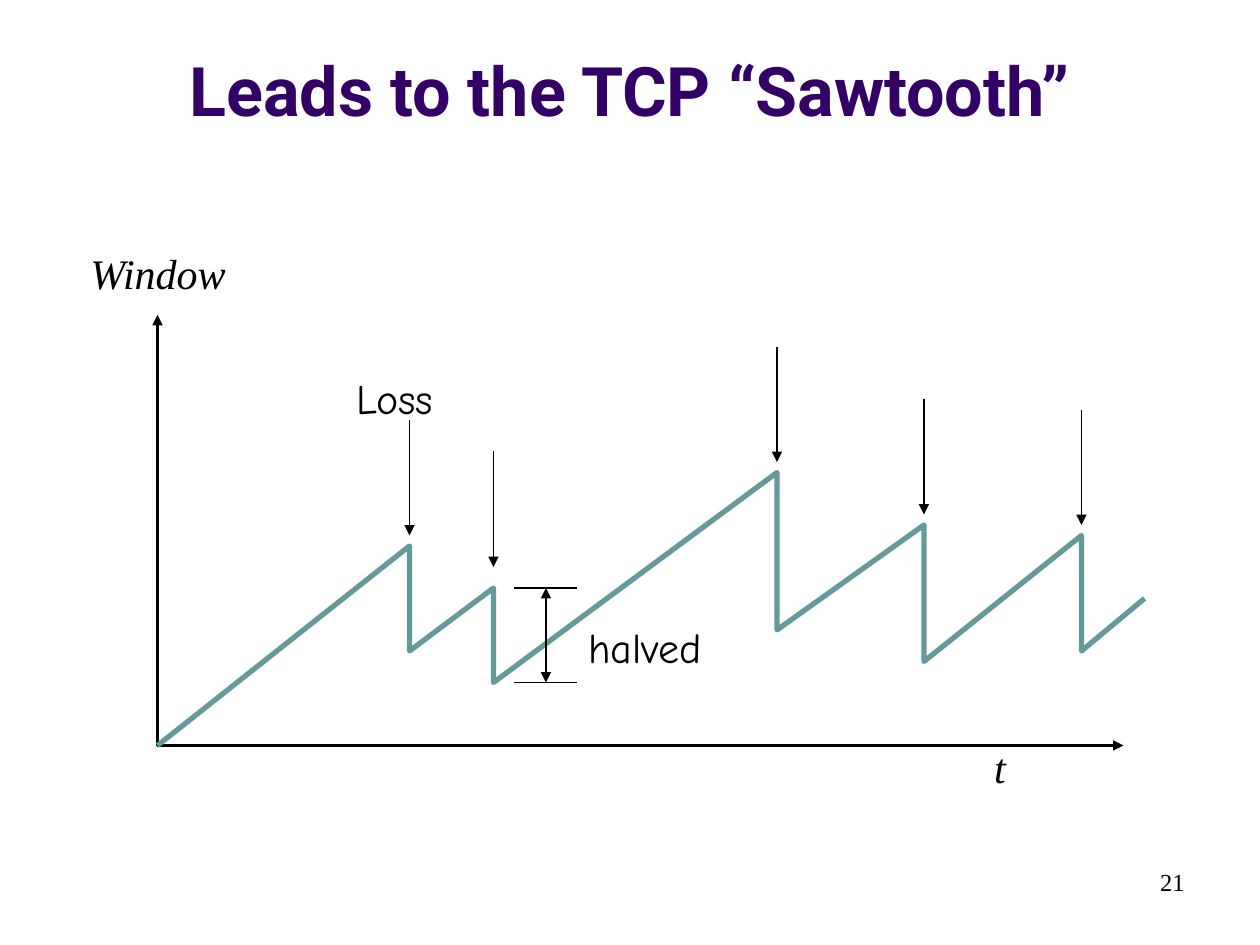
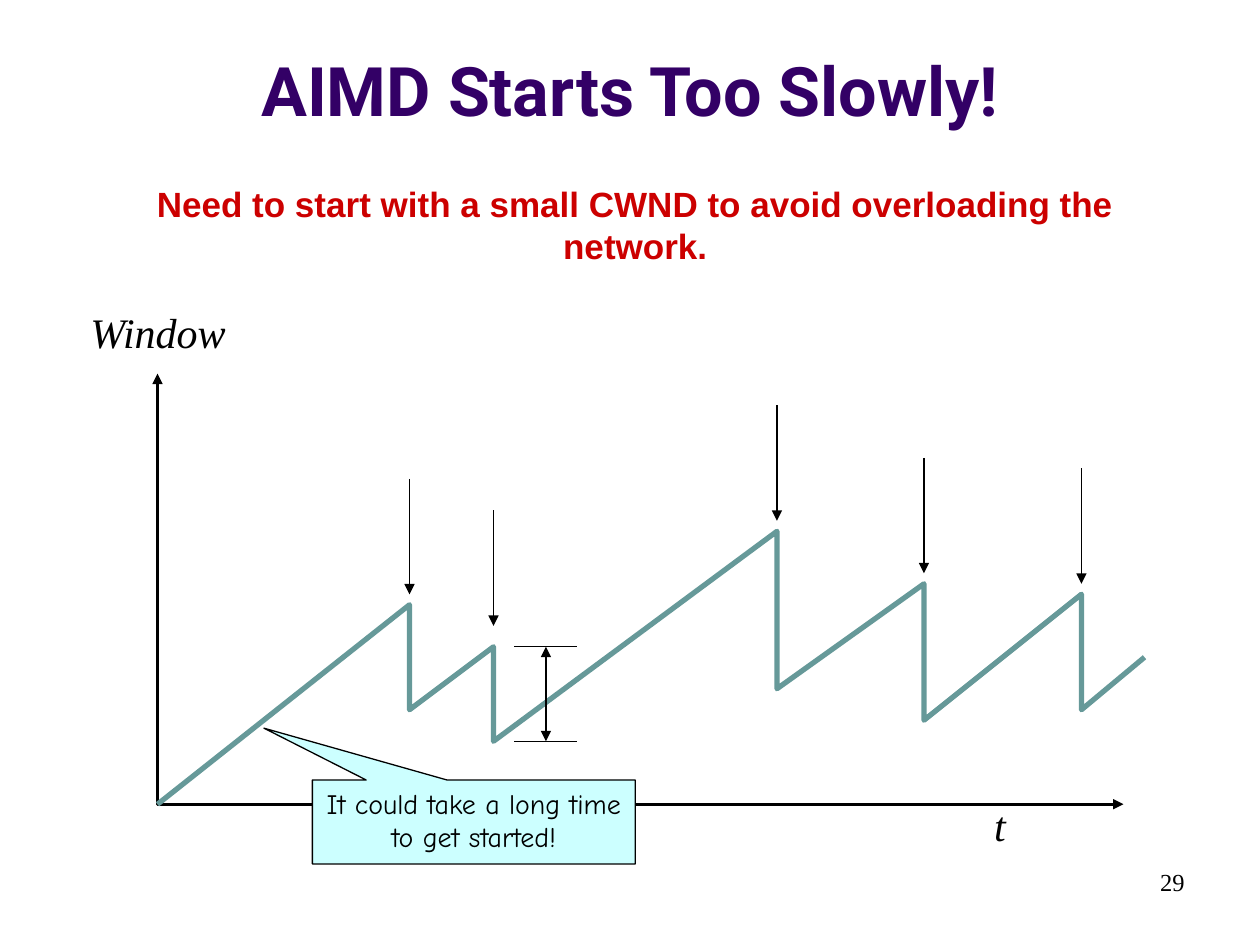
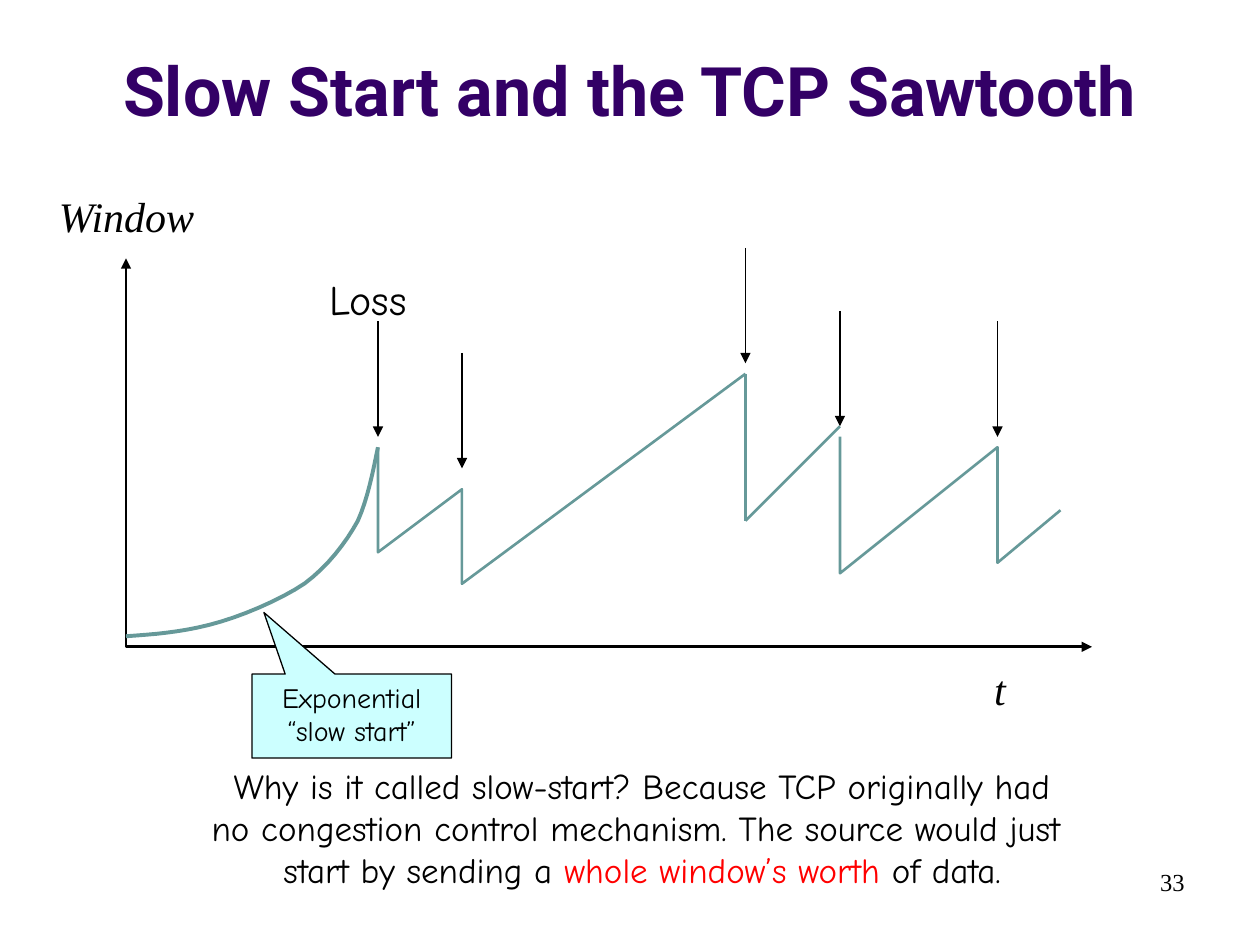
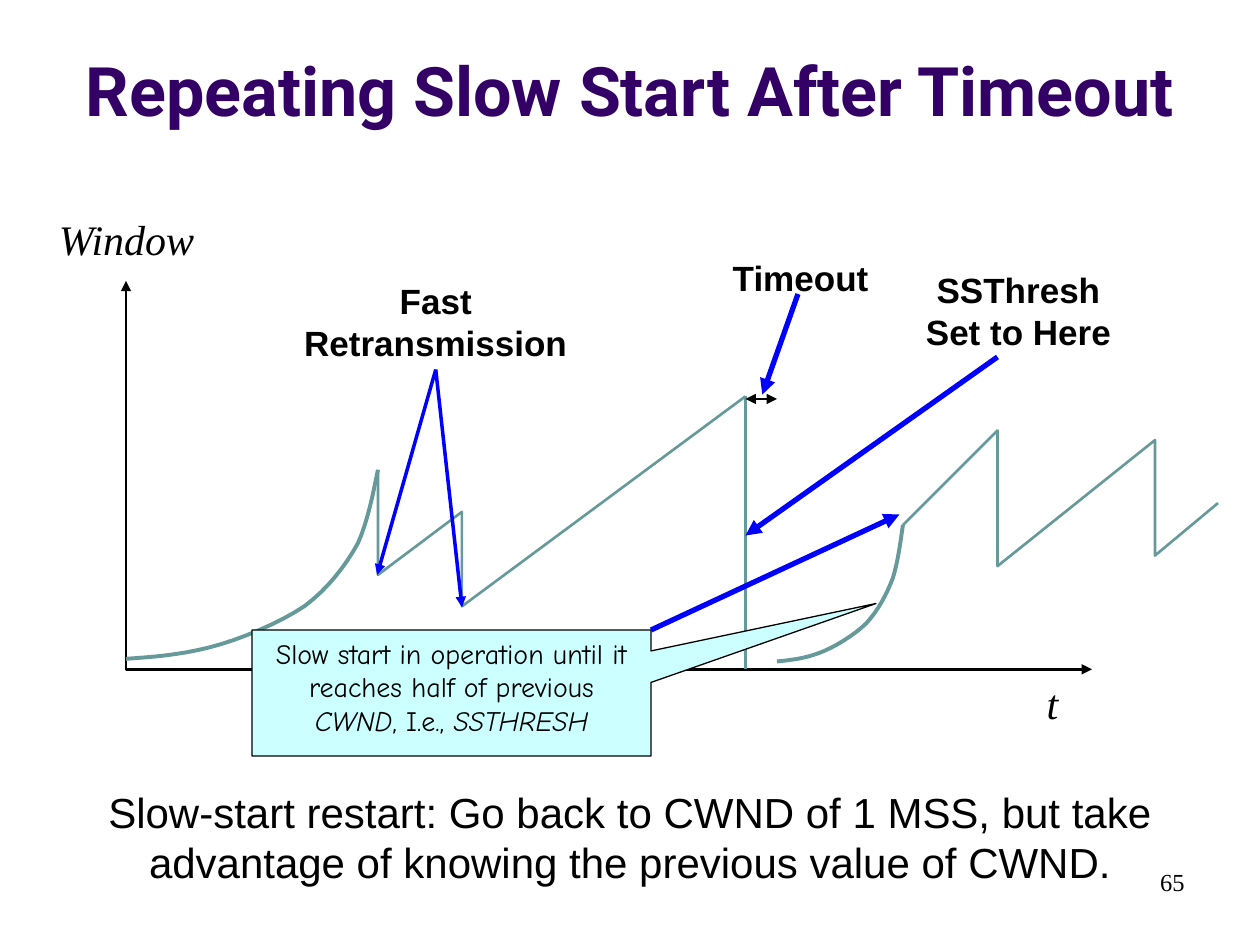
from lxml import etree
from pptx import Presentation
from pptx.dml.color import RGBColor
from pptx.enum.shapes import MSO_CONNECTOR, MSO_SHAPE
from pptx.enum.text import MSO_ANCHOR, MSO_AUTO_SIZE, PP_ALIGN
from pptx.oxml.ns import qn
from pptx.util import Pt

BLACK = RGBColor(0x00, 0x00, 0x00)
PURPLE = RGBColor(0x33, 0x00, 0x66)
TEAL = RGBColor(0x66, 0x99, 0x99)
CYAN = RGBColor(0xCC, 0xFF, 0xFF)
BLUE = RGBColor(0x00, 0x00, 0xFF)
RED = RGBColor(0xFF, 0x00, 0x00)
DARK_RED = RGBColor(0xCC, 0x00, 0x00)

SANS, SERIF, COMIC, HEADING = "Arial", "Times New Roman", "Comic Neue", "Roboto"
TITLE_ONLY = 5
BOTTOM_SIDE = 2
AXIS_WIDTH = 552
LOSS_ARROW = 66

# Window sizes are offsets (right, up) from the origin of the axes.
FIRST_TEETH = [(144, 114), (144, 54), (192, 90), (192, 36), (354, 156)]
LONG_TEETH = [(0, 0), *FIRST_TEETH, (354, 66), (438, 126), (438, 48),
              (528, 120), (528, 54), (564, 84)]
LAST_TEETH = [(0, 120), (0, 42), (90, 114), (90, 48), (126, 78)]
FIRST_LOSSES = [(144, 120), (192, 102), (354, 162)]
LONG_LOSSES = FIRST_LOSSES + [(438, 132), (528, 126)]
SLOW_START_LOSSES = FIRST_LOSSES + [(408, 126), (498, 120)]
GROWTH = [(1, 0), (0.98, 0.13), (0.96, 0.27), (0.92, 0.39), (0.87, 0.51),
          (0.8, 0.63), (0.71, 0.72), (0.61, 0.81), (0.45, 0.9),
          (0.33, 0.94), (0.21, 0.98), (0.11, 0.99), (0, 1)]


def write_text(frame, paragraphs, size=24, font=COMIC, color=BLACK,
               bold=False, italic=False, align=PP_ALIGN.LEFT):
    if isinstance(paragraphs, str):
        paragraphs = [paragraphs]
    for index, content in enumerate(paragraphs):
        paragraph = frame.add_paragraph() if index else frame.paragraphs[0]
        paragraph.alignment = align
        runs = [(content, {})] if isinstance(content, str) else content
        for text, changes in runs:
            for number, line in enumerate(text.split("\n")):
                if number:
                    paragraph.add_line_break()
                run = paragraph.add_run()
                run.text = line
                run.font.size = Pt(size)
                run.font.name = font
                run.font.bold = bold
                run.font.italic = changes.get("italic", italic)
                run.font.color.rgb = changes.get("color", color)


def bezier(points, steps=8):
    result = [points[0]]
    for first in range(0, len(points) - 1, 3):
        corners = points[first:first + 4]
        for step in range(1, steps + 1):
            t = step / steps
            weights = ((1 - t) ** 3, 3 * t * (1 - t) ** 2,
                       3 * t ** 2 * (1 - t), t ** 3)
            result.append(tuple(
                sum(weight * corner[axis]
                    for weight, corner in zip(weights, corners))
                for axis in (0, 1)))
    return result


class Deck:
    def __init__(self):
        self.presentation = Presentation()
        self.presentation.slide_width = Pt(720)
        self.presentation.slide_height = Pt(540)
        self.shapes = None
        self.left = self.base = 0

    def add_slide(self, title, number):
        layout = self.presentation.slide_layouts[TITLE_ONLY]
        self.shapes = self.presentation.slides.add_slide(layout).shapes
        shape = self.shapes.title
        shape.left, shape.top, shape.width, shape.height = map(
            Pt, (0, 9.5, 720, 68.5))
        shape.text_frame.auto_size = MSO_AUTO_SIZE.NONE
        shape.text_frame.vertical_anchor = MSO_ANCHOR.BOTTOM
        write_text(shape.text_frame, title, size=39, font=HEADING,
                   color=PURPLE, bold=True, align=PP_ALIGN.CENTER)
        self.text(str(number), 516, 492, 168, 36, size=14, font=SERIF,
                  align=PP_ALIGN.RIGHT)

    def text(self, content, left, top, width, height=36, wrap=True, **style):
        shape = self.shapes.add_textbox(*map(Pt, (left, top, width, height)))
        shape.text_frame.word_wrap = wrap
        write_text(shape.text_frame, content, **style)
        return shape

    def label(self, content, left, top, width, height=55.2):
        return self.text(content, left, top, width, height, size=20,
                         font=SANS, bold=True, align=PP_ALIGN.CENTER)

    def callout(self, content, left, top, width, height, tip):
        shape = self.shapes.add_shape(MSO_SHAPE.RECTANGULAR_CALLOUT,
                                      *map(Pt, (left, top, width, height)))
        shape.adjustments[0], shape.adjustments[1] = tip
        shape.shadow.inherit = False
        shape.fill.solid()
        shape.fill.fore_color.rgb = CYAN
        self.stroke(shape, BLACK, 0.75)
        shape.text_frame.word_wrap = True
        shape.text_frame.vertical_anchor = MSO_ANCHOR.TOP
        write_text(shape.text_frame, content, size=16, align=PP_ALIGN.CENTER)

    def stroke(self, shape, color, width, ends=()):
        shape.line.color.rgb = color
        shape.line.width = Pt(width)
        line = shape.line._get_or_add_ln()
        for end in ends:
            etree.SubElement(line, qn(f"a:{end}"), type="triangle")

    def line(self, start, end, color=BLACK, width=0.75, ends=(), source=None):
        connector = self.shapes.add_connector(
            MSO_CONNECTOR.STRAIGHT, *map(Pt, (*start, *end)))
        if source is not None:
            connector.begin_connect(source, BOTTOM_SIDE)
        self.stroke(connector, color, width, ends)
        etree.SubElement(connector._element.spPr, qn("a:effectLst"))

    def arrow(self, start, end, **style):
        self.line(start, end, ends=("tailEnd",), **style)

    def outline(self, points, color=TEAL, width=1.5, ends=()):
        corners = [(Pt(x), Pt(y)) for x, y in points]
        builder = self.shapes.build_freeform(*corners[0])
        builder.add_line_segments(corners[1:], close=False)
        shape = builder.convert_to_shape()
        shape.shadow.inherit = False
        shape.fill.background()
        self.stroke(shape, color, width, ends)

    def place(self, right, up):
        return self.left + right, self.base - up

    def axes(self, left, base, height, time_left, time_drop):
        self.left, self.base = left, base
        self.outline([self.place(0, height), self.place(0, 0),
                      self.place(AXIS_WIDTH, 0)],
                     color=BLACK, ends=("headEnd", "tailEnd"))
        style = dict(wrap=False, font=SERIF, italic=True)
        self.text("t", time_left, base + time_drop, 21, **style)
        self.text("Window", left - 45.4, base - height - 42, 93, **style)

    def teeth(self, offsets, right=0, up=0, width=1.5):
        self.outline([self.place(x + right, y + up) for x, y in offsets],
                     width=width)

    def segment(self, start, end):
        self.line(self.place(*start), self.place(*end), color=TEAL, width=1.5)

    def slow_start(self, right, up, width, height):
        left, top = self.place(right, up)
        self.outline([(left + x * width, top + y * height)
                      for x, y in bezier(GROWTH)], width=2.25)

    def losses(self, tips):
        for right, up in tips:
            self.arrow(self.place(right, up + LOSS_ARROW),
                       self.place(right, up))

    def long_sawtooth(self, base):
        self.axes(90, base, 246, 561, -6)
        self.teeth(LONG_TEETH, width=3)
        for up in (36, 90):
            self.line(self.place(204, up), self.place(240, up))
        self.line(self.place(222, 90), self.place(222, 36),
                  ends=("headEnd", "tailEnd"))
        self.losses(LONG_LOSSES)


def build_sawtooth(deck):
    deck.add_slide("Leads to the TCP “Sawtooth”", 21)
    deck.long_sawtooth(426)
    deck.text("halved", 329, 351.5, 86.5, wrap=False)
    deck.text("Loss", 196.5, 209.5, 64, wrap=False)


def build_slow_aimd(deck):
    deck.add_slide("AIMD Starts Too Slowly!", 29)
    deck.long_sawtooth(459.6)
    deck.callout("It could take a long time to get started!",
                 178.5, 445.7, 184.5, 48, (-0.65, -1.117))
    deck.text("Need to start with a small CWND to avoid overloading "
              "the network.", 39, 101, 648, 31, size=20, font=SANS,
              color=DARK_RED, bold=True, align=PP_ALIGN.CENTER)


def build_slow_start(deck):
    deck.add_slide("Slow Start and the TCP Sawtooth", 33)
    deck.axes(72, 369.6, 222, 561, 6)
    deck.losses(SLOW_START_LOSSES)
    deck.text("Loss", 181.3, 152.6, 64, wrap=False)
    deck.slow_start(0, 114, 144, 108)
    deck.callout("Exponential\n“slow start”", 144, 385.2, 114, 48,
                 (-0.44, -1.234))
    deck.text(["Why is it called slow-start? Because TCP originally had",
               [("no congestion control mechanism. The source would just \n"
                 "start by sending a ", {}),
                ("whole window’s worth", {"color": RED}),
                (" of data.", {})]],
              97, 433.5, 540, 79, wrap=False, size=20,
              align=PP_ALIGN.CENTER)
    deck.teeth(FIRST_TEETH)
    deck.teeth(LAST_TEETH, right=408)
    deck.segment((354, 72), (408, 126))
    deck.segment((354, 156), (354, 72))


def build_timeout(deck):
    deck.add_slide("Repeating Slow Start After Timeout", 65)
    deck.axes(72, 382.5, 222, 591, 1.3)
    deck.slow_start(0, 114, 144, 108)
    deck.text("Slow-start restart: Go back to CWND of 1 MSS, but take "
              "advantage of knowing the previous value of CWND.",
              51.5, 445.7, 617, 65, font=SANS, align=PP_ALIGN.CENTER)
    deck.teeth(FIRST_TEETH)
    deck.segment((354, 156), (354, 0))
    deck.slow_start(372, 82.5, 72, 78)
    deck.callout([[("Slow start in operation until it reaches half of "
                    "previous ", {}),
                   ("CWND", {"italic": True}), (", I.e., ", {}),
                   ("SSTHRESH", {"italic": True})]],
                 144, 360, 228, 72, (1.064, -0.71))
    deck.teeth(LAST_TEETH, right=498, up=17)
    deck.segment((444, 82.5), (498, 136.5))

    pointer = dict(color=BLUE, width=3)
    deck.arrow((372, 360), (514, 294), **pointer)
    deck.arrow((456, 168), (435.6, 225.5), **pointer)
    deck.label("Timeout", 402, 143.3, 111, 31)
    deck.line((426, 228), (444, 228), ends=("headEnd", "tailEnd"))
    retransmission = deck.label("Fast Retransmission", 156, 156, 186)
    for tip in ((215.5, 328.5), (264, 347)):
        deck.arrow((249, 211.2), tip, color=BLUE, width=2,
                   source=retransmission)
    deck.arrow((570, 204), (426, 306), **pointer)
    deck.label(["SSThresh", "Set to Here"], 510, 150, 144)


def main():
    deck = Deck()
    for build in (build_sawtooth, build_slow_aimd, build_slow_start,
                  build_timeout):
        build(deck)
    deck.presentation.save("out.pptx")


if __name__ == "__main__":
    main()
